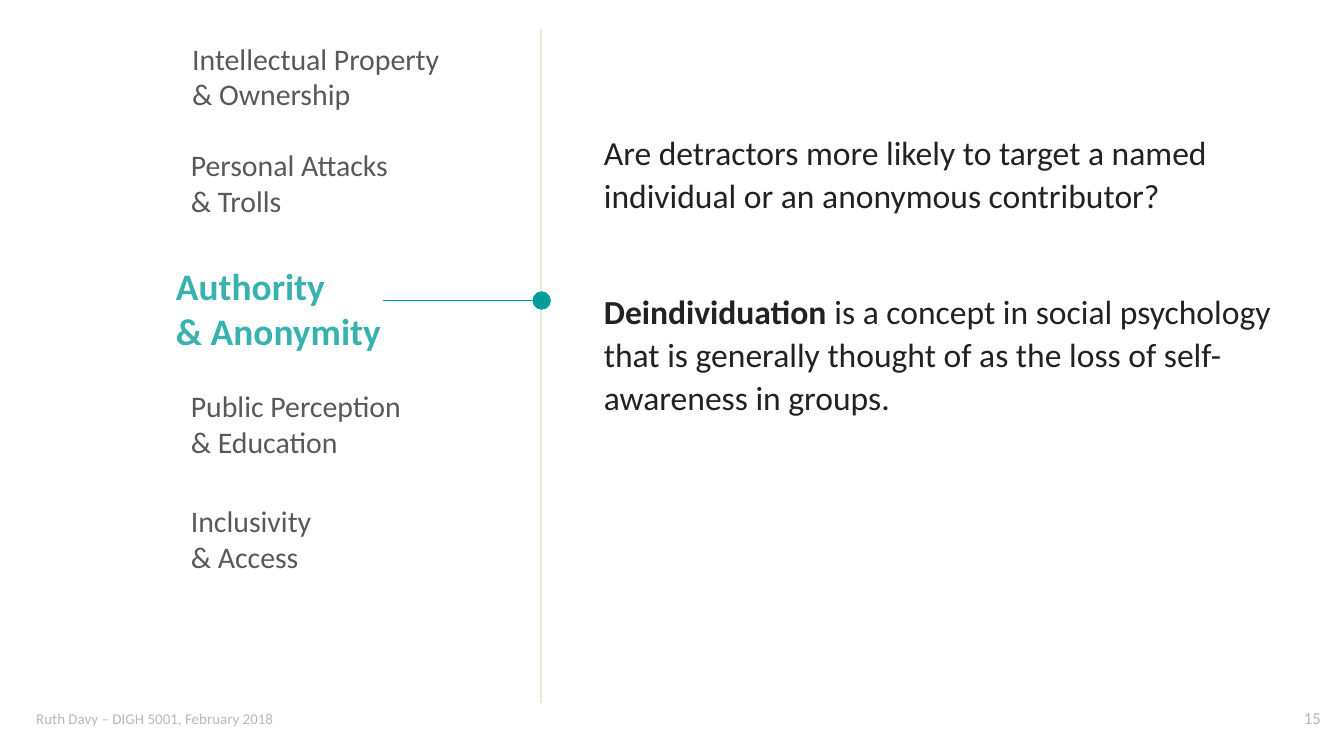
from lxml import etree
from pptx import Presentation
from pptx.dml.color import RGBColor
from pptx.enum.shapes import MSO_CONNECTOR
from pptx.enum.text import MSO_ANCHOR, PP_ALIGN
from pptx.oxml.ns import qn
from pptx.util import Inches, Pt

STRAIGHT = MSO_CONNECTOR.STRAIGHT
TOP, BOTTOM = MSO_ANCHOR.TOP, MSO_ANCHOR.BOTTOM
LEFT, CENTER = PP_ALIGN.LEFT, PP_ALIGN.CENTER

WIDTH = 10
HEIGHT = WIDTH * 9 / 16
FONT = "Calibri"
COLORS = {
    "body": "222223",
    "topic": "58595B",
    "active": "37B2AF",
    "pointer": "009D9C",
    "divider": "EAE8D7",
    "footer": "B7B9BA",
}
TOPICS = [
    (14.3, 5.34, ["Intellectual Property", "& Ownership"]),
    (14.2, 19.4, ["Personal Attacks", "& Trolls"]),
    (14.2, 51.25, ["Public Perception", "& Education"]),
    (14.2, 66.5, ["Inclusivity", "& Access"]),
]
ACTIVE_TOPIC = ["Authority", "& Anonymity"]
QUESTION = "Are detractors more likely to target a named individual or an anonymous contributor?"
DEFINITION = [
    ("Deindividuation", True),
    (" is a concept in social psychology that is generally thought of as "
     "the loss of self-awareness in groups.", False),
]


def across(percent):
    return Inches(WIDTH * percent / 100)


def down(percent):
    return Inches(HEIGHT * percent / 100)


def add_text(slide, box, paragraphs, size, color, bold=False, align=LEFT,
             anchor=TOP, spacing=1.0, after=0, inset=(0, 0), wrap=False):
    left, top, width, height = box
    shape = slide.shapes.add_textbox(across(left), down(top), across(width), down(height))
    frame = shape.text_frame
    frame.word_wrap = wrap
    frame.vertical_anchor = anchor
    frame.margin_left = frame.margin_right = Inches(inset[0])
    frame.margin_top = frame.margin_bottom = Inches(inset[1])
    for index, content in enumerate(paragraphs):
        paragraph = frame.paragraphs[0] if index == 0 else frame.add_paragraph()
        paragraph.alignment = align
        paragraph.line_spacing = spacing
        paragraph.space_after = Pt(after)
        runs = [(content, bold)] if isinstance(content, str) else content
        for text, run_bold in runs:
            run = paragraph.add_run()
            run.text = text
            run.font.name = FONT
            run.font.size = Pt(size)
            run.font.bold = run_bold
            run.font.color.rgb = RGBColor.from_string(COLORS[color])


def add_line(slide, start, end, color, dot=False):
    connector = slide.shapes.add_connector(
        STRAIGHT, across(start[0]), down(start[1]), across(end[0]), down(end[1]))
    connector.line.color.rgb = RGBColor.from_string(COLORS[color])
    connector.line.width = Pt(1)
    if dot:
        outline = connector.line._get_or_add_ln()
        etree.SubElement(outline, qn("a:tailEnd"), type="oval", w="lg", len="lg")
    etree.SubElement(connector._element.spPr, qn("a:effectLst"))


def add_topics(slide):
    for left, top, lines in TOPICS:
        add_text(slide, (left, top, 19.2, 9.6), lines, 16, "topic")
    add_text(slide, (13.1, 34.85, 15.4, 11.9), ACTIVE_TOPIC, 20, "active", bold=True)


def add_footer(slide):
    add_text(slide, (2.7, 93.06, 18, 3.2), ["Ruth Davy – DIGH 5001, February 2018"],
             8, "footer", anchor=BOTTOM, spacing=0.85)
    add_text(slide, (96.25, 94.05, 2.8, 2.3), ["15"], 9, "footer",
             align=CENTER, anchor=BOTTOM, spacing=0.85)


def main():
    presentation = Presentation()
    presentation.slide_width = Inches(WIDTH)
    presentation.slide_height = Inches(HEIGHT)
    slide = presentation.slides.add_slide(presentation.slide_layouts[6])
    add_footer(slide)
    add_topics(slide)
    add_line(slide, (40.25, 93), (40.25, 3.9), "divider")
    add_line(slide, (28.5, 39.75), (40.3, 39.75), "pointer", dot=True)
    add_text(slide, (43.95, 16.15, 53.6, 40.5), [QUESTION, DEFINITION], 18, "body",
             spacing=1.07, after=39, inset=(0.1, 0.05), wrap=True)
    presentation.save("out.pptx")


if __name__ == "__main__":
    main()
